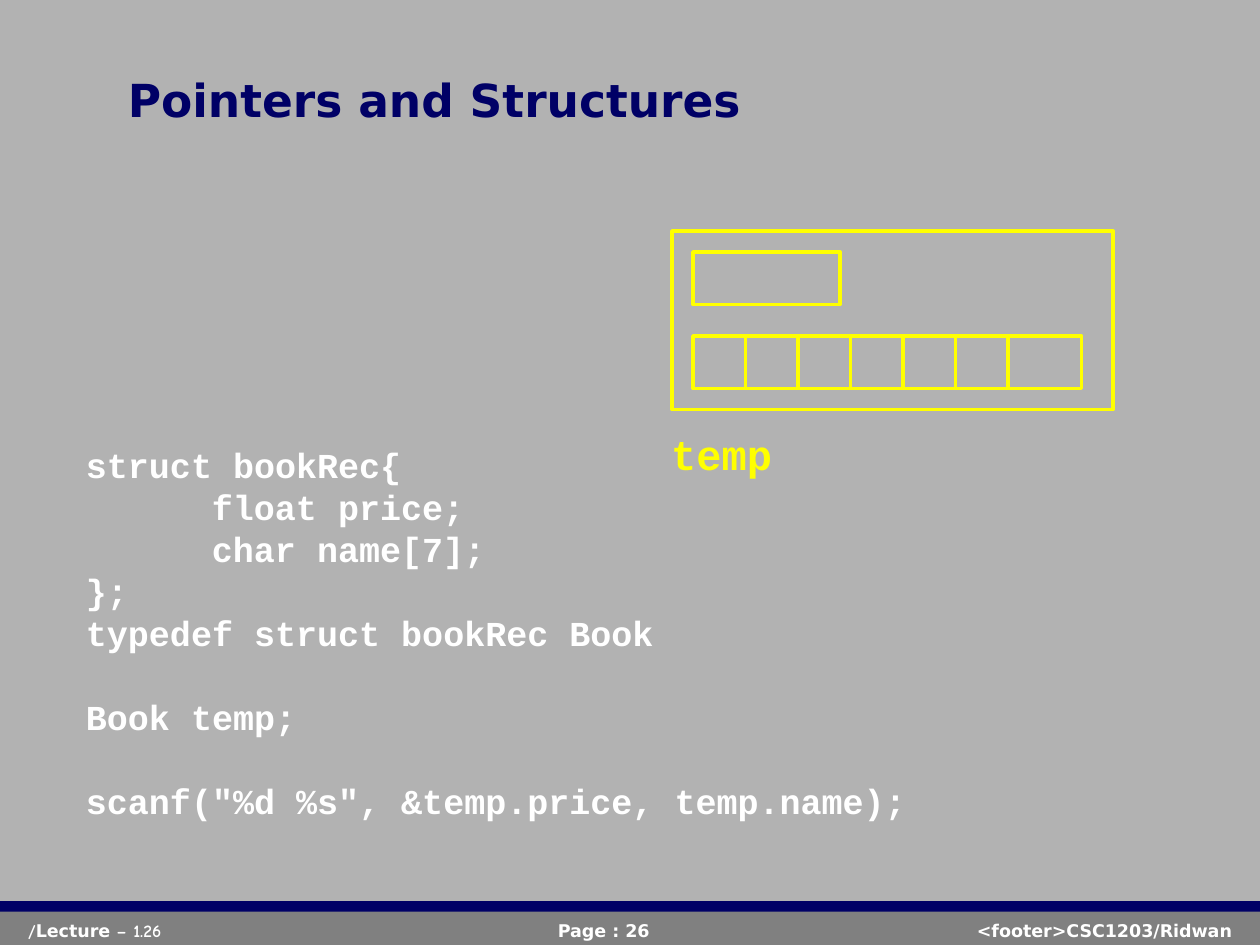
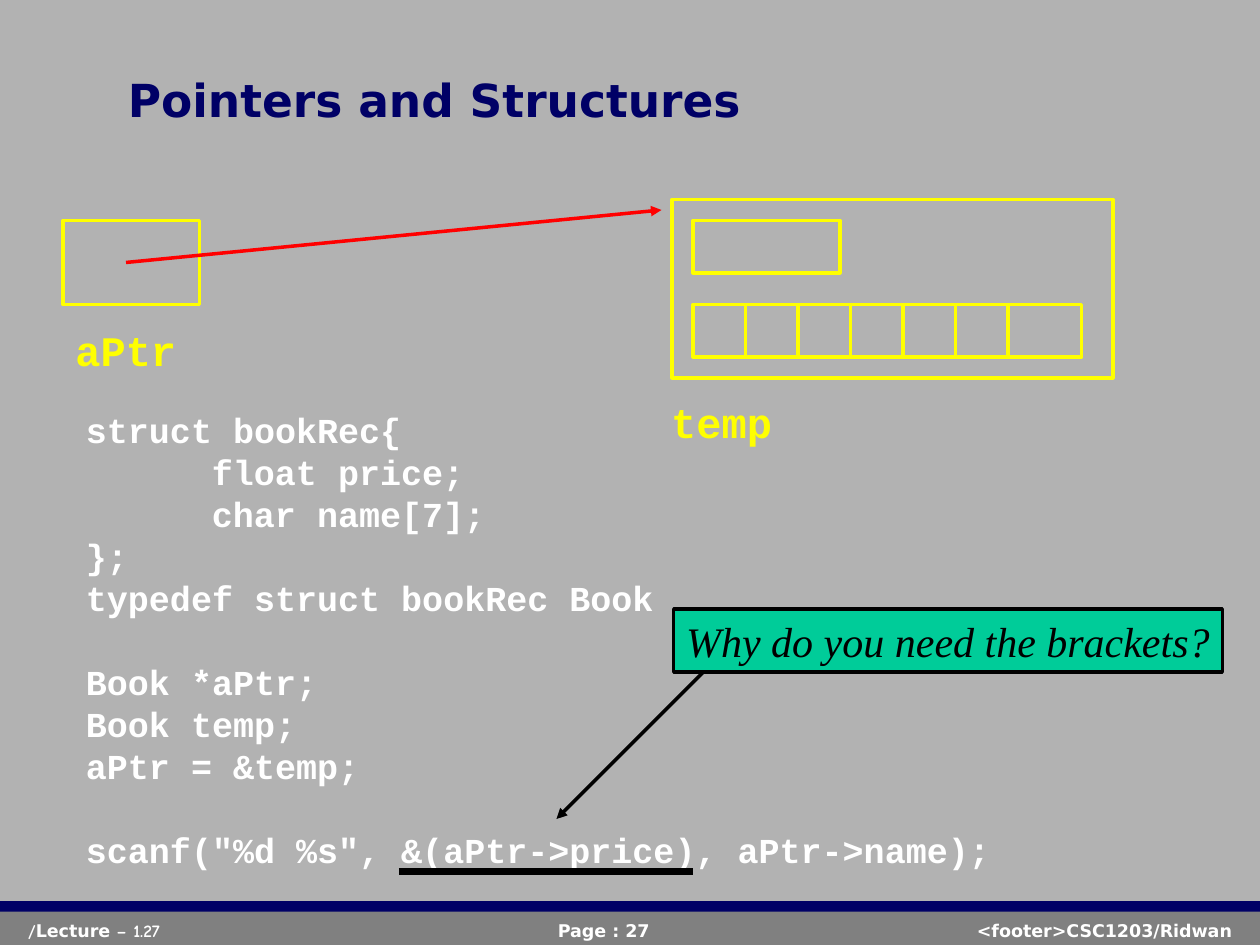
from dataclasses import dataclass
from lxml.etree import SubElement
from pptx import Presentation
from pptx.dml.color import RGBColor
from pptx.enum.shapes import MSO_CONNECTOR, MSO_SHAPE
from pptx.enum.text import MSO_ANCHOR, PP_ALIGN
from pptx.oxml.ns import qn
from pptx.util import Pt


@dataclass(frozen=True)
class Theme:
    back: str = "B2B2B2"
    band: str = "808080"
    navy: str = "000066"
    white: str = "FFFFFF"
    black: str = "000000"
    yellow: str = "FFFF00"
    red: str = "FF0000"
    green: str = "00CC99"
    sans: str = "DejaVu Sans"
    comic: str = "Comic Neue"
    mono: str = "Courier New"
    serif: str = "Times New Roman"
    small: int = 10
    code: int = 20
    label: int = 24
    title: int = 26
    line: float = 2
    thick: float = 4.5


T = Theme()
TITLE = "Pointers and Structures"
COURSE = "<footer>CSC1203/Ridwan"
QUERY = "Why do you need the brackets?"
STRUCT = [
    "struct bookRec{",
    "\tfloat price;",
    "\tchar name[7];",
    "};",
    "typedef struct bookRec Book",
]
PAGES = [
    {
        "num": 26,
        "code": [
            STRUCT,
            ["Book temp;"],
            ['scanf("%d %s", &temp.price, temp.name);'],
        ],
        "place": (42, 247.8, 495, 223),
        "top": 132,
        "pointer": False,
    },
    {
        "num": 27,
        "code": [
            STRUCT,
            ["Book *aPtr;", "Book temp;", "aPtr = &temp;"],
            ['scanf("%d %s", &(aPtr->price), aPtr->name);'],
        ],
        "place": (42, 228, 543.5, 271),
        "top": 114,
        "pointer": True,
    },
]
CELLS, SIDE = 7, 30


def color(code):
    return RGBColor.from_string(code)


def text(shape, parts, size=T.small, font=T.sans, ink=T.white, bold=True,
         slant=False, align=PP_ALIGN.LEFT, anchor=MSO_ANCHOR.TOP,
         wrap=True, pitch=None, drop=0):
    frame = shape.text_frame
    frame.word_wrap = wrap
    frame.vertical_anchor = anchor
    frame.margin_left = frame.margin_right = Pt(7.2)
    frame.margin_top, frame.margin_bottom = Pt(3.6 + drop), Pt(3.6)
    lines = [(line, part > 0 and row == 0)
             for part, block in enumerate(parts)
             for row, line in enumerate(block)]
    for row, (line, gap) in enumerate(lines):
        para = frame.paragraphs[0] if row == 0 else frame.add_paragraph()
        runs = [(line, font)] if isinstance(line, str) else line
        if any("\t" in words for words, face in runs):
            tabs = SubElement(para._p.get_or_add_pPr(), qn("a:tabLst"))
            SubElement(tabs, qn("a:tab"), pos=str(Pt(72)), algn="l")
        para.alignment = align
        if pitch:
            para.line_spacing = Pt(pitch)
        if gap:
            para.space_before = Pt(pitch)
        for words, face in runs:
            run = para.add_run()
            run.text = words
            run.font.name = face
            run.font.size = Pt(size)
            run.font.bold = bold
            run.font.italic = slant
            run.font.color.rgb = color(ink)


def area(slide, place):
    return slide.shapes.add_textbox(*map(Pt, place))


def box(slide, place, fill=None, edge=None):
    shape = slide.shapes.add_shape(MSO_SHAPE.RECTANGLE, *map(Pt, place))
    shape.shadow.inherit = False
    if fill:
        shape.fill.solid()
        shape.fill.fore_color.rgb = color(fill)
    else:
        shape.fill.background()
    if edge:
        shape.line.color.rgb = color(edge)
        shape.line.width = Pt(T.line)
    else:
        shape.line.fill.background()
    return shape


def link(slide, ends, ink, width=T.line, arrow=False):
    line = slide.shapes.add_connector(MSO_CONNECTOR.STRAIGHT, *map(Pt, ends))
    line.line.color.rgb = color(ink)
    line.line.width = Pt(width)
    if arrow:
        SubElement(line.line._get_or_add_ln(), qn("a:tailEnd"), type="triangle")
    SubElement(line._element.spPr, qn("a:effectLst"))


def label(slide, words, left, top):
    text(area(slide, (left, top, 72, 36)), [[words]], size=T.label,
         font=T.mono, ink=T.yellow, wrap=False, pitch=28.8, drop=2)


def base(slide, num):
    box(slide, (0, 519, 720, 21), fill=T.band)
    box(slide, (0, 515, 720, 6), fill=T.navy)
    mark = [("/", T.comic), ("Lecture", T.sans), (f" – 1.{num}", T.comic)]
    text(area(slide, (9, 522, 177, 18)), [[mark]])
    text(area(slide, (345, 522, 366, 18)), [[COURSE]], align=PP_ALIGN.RIGHT)
    text(area(slide, (270, 522, 150, 18)), [[f"Page : {num}"]],
         align=PP_ALIGN.CENTER)
    text(area(slide, (66, 12, 612, 90)), [[TITLE]], size=T.title,
         ink=T.navy, anchor=MSO_ANCHOR.MIDDLE)


def record(slide, top):
    left, row = 396, top + 60
    for place in [(384, top, 252, 102), (left, top + 12, 84, SIDE),
                  (left, row, 222, SIDE)]:
        box(slide, place, edge=T.yellow)
    for cell in range(1, CELLS):
        mid = left + cell * SIDE
        link(slide, (mid, row, mid, row + SIDE), T.yellow)
    label(slide, "temp", 376.5, top + 107)


def pointer(slide):
    box(slide, (36, 126, 78, 48), edge=T.yellow)
    label(slide, "aPtr", 36, 180)
    link(slide, (72, 150, 378, 120), T.red, arrow=True)
    note = box(slide, (385, 348, 313.5, 36), fill=T.green, edge=T.black)
    text(note, [[QUERY]], size=T.label, font=T.serif, ink=T.black,
         bold=False, slant=True, wrap=False, pitch=28.8)
    link(slide, (402, 384, 318, 468), T.black, arrow=True)
    link(slide, (228, 498, 396, 498), T.black, width=T.thick)


def main():
    deck = Presentation()
    deck.slide_width, deck.slide_height = Pt(720), Pt(540)
    fill = deck.slide_master.background.fill
    fill.solid()
    fill.fore_color.rgb = color(T.back)
    for page in PAGES:
        slide = deck.slides.add_slide(deck.slide_layouts[6])
        base(slide, page["num"])
        text(area(slide, page["place"]), page["code"], size=T.code,
             font=T.mono, pitch=24, drop=2)
        record(slide, page["top"])
        if page["pointer"]:
            pointer(slide)
    deck.save("out.pptx")


if __name__ == "__main__":
    main()
